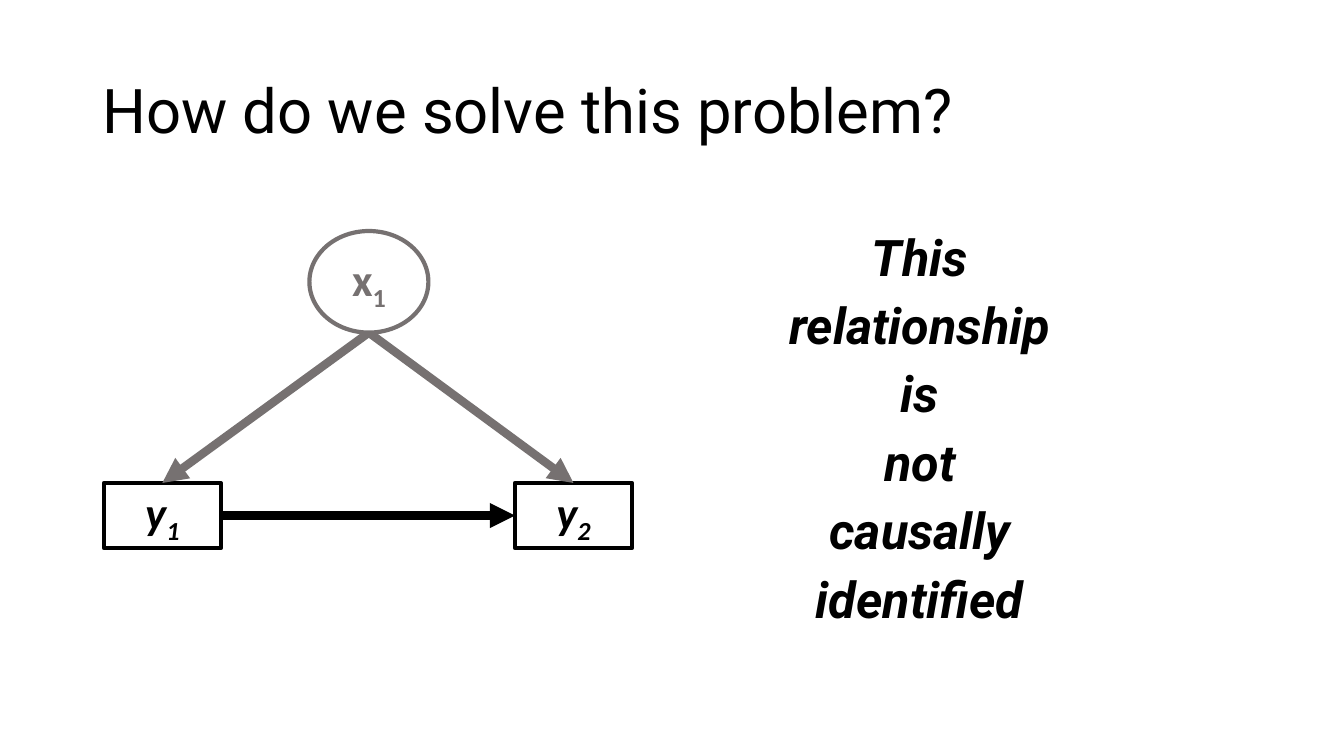
from dataclasses import dataclass

from lxml import etree
from pptx import Presentation
from pptx.dml.color import RGBColor
from pptx.enum.shapes import MSO_CONNECTOR, MSO_SHAPE
from pptx.enum.text import MSO_ANCHOR, PP_ALIGN
from pptx.oxml.ns import qn
from pptx.slide import Slide
from pptx.text.text import _Run
from pptx.util import Pt

STRAIGHT = MSO_CONNECTOR.STRAIGHT
RECT, OVAL = MSO_SHAPE.RECTANGLE, MSO_SHAPE.OVAL
MIDDLE, TOP = MSO_ANCHOR.MIDDLE, MSO_ANCHOR.TOP
LEFT, CENTER = PP_ALIGN.LEFT, PP_ALIGN.CENTER

COLORS = {"black": "000000", "gray": "767171", "white": "FFFFFF"}


@dataclass
class TextBlock:
    lines: list[str]
    left: float
    top: float
    width: float
    height: float
    size: float
    align: PP_ALIGN = LEFT
    anchor: MSO_ANCHOR = TOP
    emphasis: bool = False


@dataclass
class Node:
    letter: str
    index: str
    shape: MSO_SHAPE
    left: float
    top: float
    width: float
    height: float
    color: str
    italic: bool
    fill: str | None = None

    @property
    def top_point(self) -> tuple[float, float]:
        return self.left + self.width / 2, self.top

    @property
    def bottom_point(self) -> tuple[float, float]:
        return self.left + self.width / 2, self.top + self.height

    @property
    def left_point(self) -> tuple[float, float]:
        return self.left, self.top + self.height / 2

    @property
    def right_point(self) -> tuple[float, float]:
        return self.left + self.width, self.top + self.height / 2


@dataclass
class Arrow:
    start: tuple[float, float]
    end: tuple[float, float]
    color: str


TITLE = TextBlock(["How do we solve this problem?"],
                  66, 28.8, 828, 104.4, 44, anchor=MIDDLE)
MESSAGE = TextBlock(["This", "relationship", "is", "not", "causally", "identified"],
                    490.3, 162.5, 333.4, 333.5, 36, align=CENTER, emphasis=True)

X1 = Node("x", "1", OVAL, 221, 165, 85, 72.6, "gray", False, "white")
Y1 = Node("y", "1", RECT, 74.2, 345, 83.5, 46.6, "black", True)
Y2 = Node("y", "2", RECT, 367.9, 345, 83.5, 46.6, "black", True)

ARROWS = [
    Arrow(X1.bottom_point, Y1.top_point, "gray"),
    Arrow(Y1.right_point, Y2.left_point, "black"),
    Arrow(X1.bottom_point, Y2.top_point, "gray"),
]


def rgb(name: str) -> RGBColor:
    return RGBColor.from_string(COLORS[name])


def style_run(r: _Run, font: str, size: float, color: str, bold: bool, italic: bool) -> None:
    r.font.name = font
    r.font.size = Pt(size)
    r.font.color.rgb = rgb(color)
    r.font.bold = bold
    r.font.italic = italic


def add_text(s: Slide, block: TextBlock) -> None:
    sp = s.shapes.add_textbox(Pt(block.left), Pt(block.top), Pt(block.width), Pt(block.height))
    tf = sp.text_frame
    tf.word_wrap = True
    tf.vertical_anchor = block.anchor
    tf.text = "\n".join(block.lines)
    for i, p in enumerate(tf.paragraphs):
        p.alignment = block.align
        p.line_spacing = 0.9
        p.space_before = Pt(10 if i else 0)
        style_run(p.runs[0], "Roboto", block.size, "black", block.emphasis, block.emphasis)


def add_node(s: Slide, node: Node) -> None:
    """Draw a variable as an outlined shape with a subscripted label."""
    sp = s.shapes.add_shape(node.shape, Pt(node.left), Pt(node.top),
                            Pt(node.width), Pt(node.height))
    sp.shadow.inherit = False
    if node.fill:
        sp.fill.solid()
        sp.fill.fore_color.rgb = rgb(node.fill)
    else:
        sp.fill.background()
    sp.line.color.rgb = rgb(node.color)
    sp.line.width = Pt(3)
    tf = sp.text_frame
    tf.vertical_anchor = MIDDLE
    p = tf.paragraphs[0]
    p.alignment = CENTER
    for text in (node.letter, node.index):
        r = p.add_run()
        r.text = text
        style_run(r, "Calibri", 32, node.color, True, node.italic)
    r.font._element.set("baseline", "-25000")


def add_arrow(s: Slide, arrow: Arrow) -> None:
    points = [Pt(v) for v in (*arrow.start, *arrow.end)]
    line = s.shapes.add_connector(STRAIGHT, *points)
    line.line.color.rgb = rgb(arrow.color)
    line.line.width = Pt(6)
    etree.SubElement(line.line._get_or_add_ln(), qn("a:tailEnd"), type="triangle")
    etree.SubElement(line._element.spPr, qn("a:effectLst"))


def main() -> None:
    prs = Presentation()
    prs.slide_width, prs.slide_height = Pt(960), Pt(540)
    s = prs.slides.add_slide(prs.slide_layouts[6])
    for block in (TITLE, MESSAGE):
        add_text(s, block)
    for node in (Y1, Y2):
        add_node(s, node)
    for arrow in ARROWS:
        add_arrow(s, arrow)
    add_node(s, X1)
    prs.save("out.pptx")


if __name__ == "__main__":
    main()
